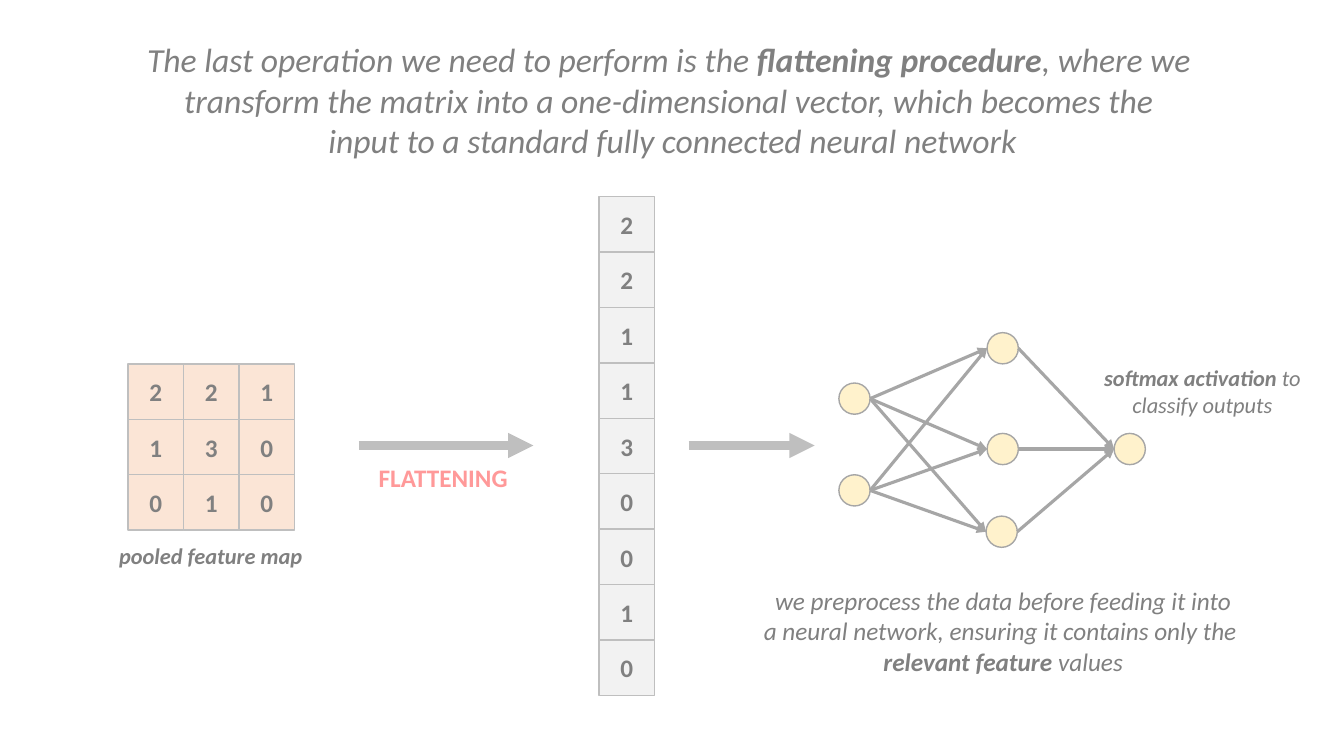
from itertools import product

from lxml import etree
from pptx import Presentation
from pptx.dml.color import RGBColor
from pptx.enum.shapes import MSO_CONNECTOR, MSO_SHAPE
from pptx.enum.text import MSO_ANCHOR, MSO_AUTO_SIZE, PP_ALIGN
from pptx.oxml.ns import qn
from pptx.util import Inches, Pt

RECT, OVAL = MSO_SHAPE.RECTANGLE, MSO_SHAPE.OVAL
STRAIGHT = MSO_CONNECTOR.STRAIGHT
TOP, MIDDLE = MSO_ANCHOR.TOP, MSO_ANCHOR.MIDDLE
CENTER = PP_ALIGN.CENTER
NO_FIT = MSO_AUTO_SIZE.NONE

GRAY, PINK = "808080", "FF9999"
BORDER, EDGE = "BFBFBF", "A6A6A6"
PEACH, PALE, CREAM = "FBE5D6", "F2F2F2", "FFF2CC"

# Each line is a list of (text, bold) runs.
TITLE = [
    [("The last operation we need to perform is the ", False),
     ("flattening procedure", True), (", where we ", False)],
    [("transform the matrix into a one-dimensional vector, which becomes the ", False)],
    [("input to a standard fully connected neural network", False)],
]
TITLE_BOX = (1.29, 0.34, 10.76, 1.31)

# box, size, colour, italic, lines
LABELS = [
    ((3.65, 4.54, 1.49, 0.4), 18, PINK, False, [[("FLATTENING", True)]]),
    ((1.07, 5.33, 2.04, 0.37), 16, GRAY, True, [[("pooled feature map", True)]]),
    ((10.83, 3.56, 2.19, 0.64), 16, GRAY, True,
     [[("softmax activation ", True), ("to", False)],
      [("classify outputs", False)]]),
    ((7.45, 5.76, 5, 1.01), 18, GRAY, True,
     [[("we preprocess the data before feeding it into", False)],
      [("a neural network, ensuring it contains only the ", False)],
      [("relevant feature ", True), ("values", False)]]),
]

FEATURE_MAP = [[2, 2, 1], [1, 3, 0], [0, 1, 0]]
MAP_POS = (1.27, 3.61)
VECTOR = [[value] for row in FEATURE_MAP for value in row]
VECTOR_POS = (5.94, 1.95)
CELL = 0.55

FLOW_Y = 4.42
FLOW_ARROWS = [(3.56, 5.29), (6.83, 8.08)]

# Top left corners of the neurons, layer by layer
LAYERS = [
    [(8.32, 3.8), (8.32, 4.71)],
    [(9.79, 3.3), (9.79, 4.3), (9.78, 5.12)],
    [(11.05, 4.3)],
]
NEURON = 0.31


def rgb(color):
    return RGBColor.from_string(color)


def write(shape, lines, size, color, italic, anchor=TOP):
    tf = shape.text_frame
    tf.word_wrap = False
    tf.auto_size = NO_FIT
    tf.vertical_anchor = anchor
    for i, line in enumerate(lines):
        p = tf.add_paragraph() if i else tf.paragraphs[0]
        p.alignment = CENTER
        for text, bold in line:
            r = p.add_run()
            r.text = text
            style = {"name": "Calibri", "size": Pt(size), "bold": bold, "italic": italic}
            for key, value in style.items():
                setattr(r.font, key, value)
            r.font.color.rgb = rgb(color)


def add_shape(s, kind, box, fill, line):
    sp = s.shapes.add_shape(kind, *map(Inches, box))
    sp.shadow.inherit = False
    sp.fill.solid()
    sp.fill.fore_color.rgb = rgb(fill)
    sp.line.color.rgb = rgb(line)
    sp.line.width = Pt(1)
    return sp


def add_grid(s, pos, rows, fill):
    left, top = pos
    for i, row in enumerate(rows):
        for j, value in enumerate(row):
            box = (left + j * CELL, top + i * CELL, CELL, CELL)
            cell = add_shape(s, RECT, box, fill, BORDER)
            write(cell, [[(str(value), True)]], 18, GRAY, False, MIDDLE)


def add_arrow(s, start, end, color, width):
    c = s.shapes.add_connector(STRAIGHT, *map(Inches, start + end))
    c.line.color.rgb = rgb(color)
    c.line.width = Pt(width)
    etree.SubElement(c.line._get_or_add_ln(), qn("a:tailEnd"), type="triangle")
    etree.SubElement(c._element.spPr, qn("a:effectLst"))


def add_network(s):
    for x, y in sum(LAYERS, []):
        add_shape(s, OVAL, (x, y, NEURON, NEURON), CREAM, EDGE)
    for sources, targets in zip(LAYERS, LAYERS[1:]):
        for (x1, y1), (x2, y2) in product(sources, targets):
            start = (x1 + NEURON, y1 + NEURON / 2)
            add_arrow(s, start, (x2, y2 + NEURON / 2), EDGE, 2.25)


def main():
    prs = Presentation()
    prs.slide_width, prs.slide_height = Inches(13.33), Inches(7.5)
    s = prs.slides.add_slide(prs.slide_layouts[5])

    title = s.shapes.title
    title.left, title.top, title.width, title.height = map(Inches, TITLE_BOX)
    write(title, TITLE, 24, GRAY, True)

    add_grid(s, MAP_POS, FEATURE_MAP, PEACH)
    add_grid(s, VECTOR_POS, VECTOR, PALE)
    for x1, x2 in FLOW_ARROWS:
        add_arrow(s, (x1, FLOW_Y), (x2, FLOW_Y), BORDER, 6)
    add_network(s)
    for box, size, color, italic, lines in LABELS:
        write(s.shapes.add_textbox(*map(Inches, box)), lines, size, color, italic)

    prs.save("out.pptx")


if __name__ == "__main__":
    main()
